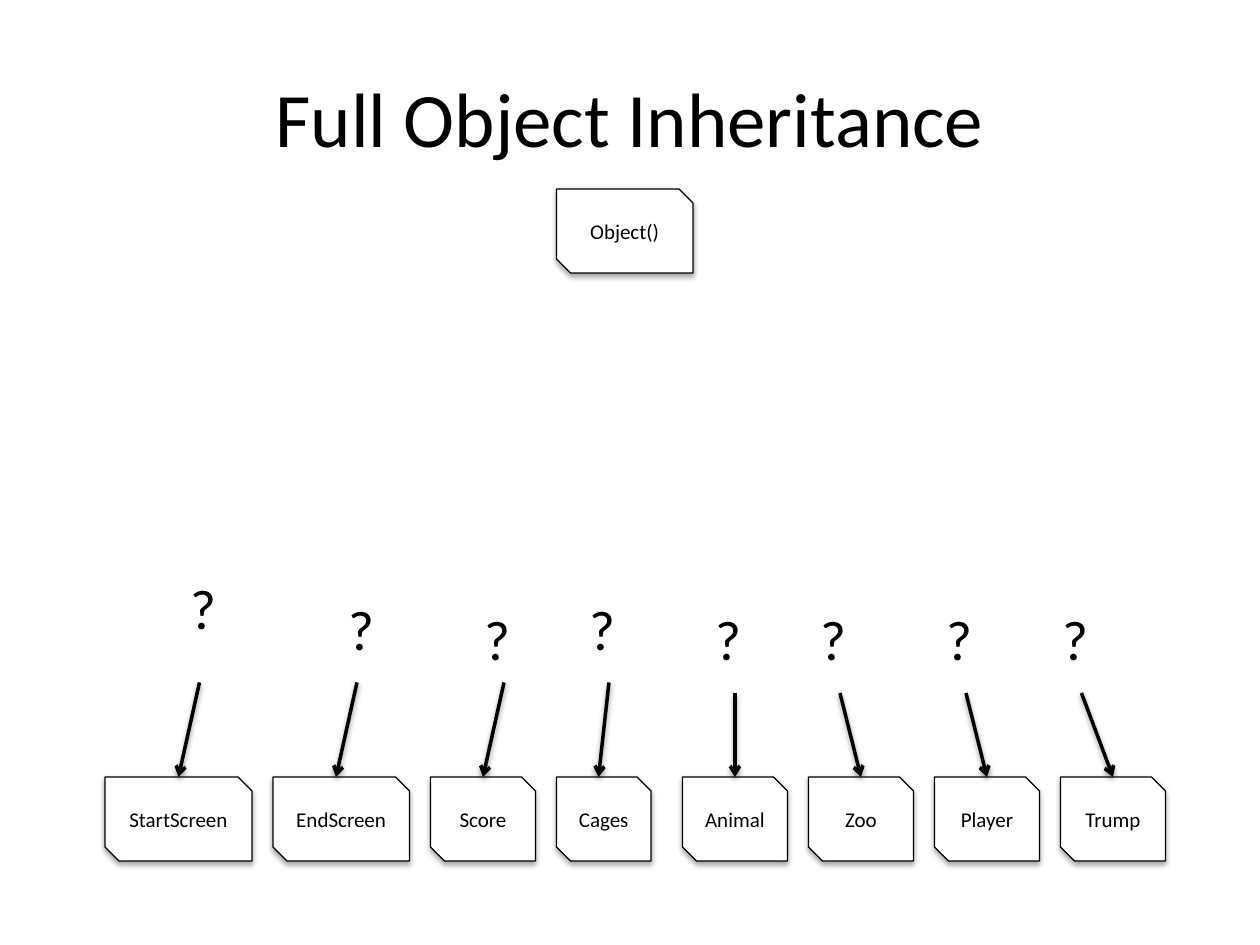
"""Build the object inheritance slide."""
import lxml.etree
import pptx
import pptx.dml.color
import pptx.enum.shapes
import pptx.enum.text
import pptx.oxml.ns
import pptx.util

Pt = pptx.util.Pt
QN = pptx.oxml.ns.qn
ALIGN = pptx.enum.text.PP_ALIGN
MID = pptx.enum.text.MSO_ANCHOR.MIDDLE
FIT = pptx.enum.text.MSO_AUTO_SIZE
KIND = pptx.enum.shapes.MSO_SHAPE
LINK = pptx.enum.shapes.MSO_CONNECTOR
BLACK = pptx.dml.color.RGBColor(0, 0, 0)
WHITE = pptx.dml.color.RGBColor(255, 255, 255)

TOP, HIGH = 444, 48
ITEMS = [
    ("StartScreen", 60, 84, (114, 390), (102, 324)),
    ("EndScreen", 156, 78, (204, 390), (192, 336)),
    ("Score", 246, 60, (288, 390), (270, 342)),
    ("Cages", 318, 54, (348, 390), (330, 336)),
    ("Animal", 390, 60, (420, 396), (402, 342)),
    ("Zoo", 462, 60, (480, 396), (462, 342)),
    ("Player", 534, 60, (552, 396), (534, 342)),
    ("Trump", 606, 60, (618, 396), (600, 342)),
]


def apply(item, form):
    for key, value in form.items():
        setattr(item, key, value)


class Deck:
    font = {"name": "Calibri"}

    def __init__(self):
        self.show = pptx.Presentation()
        apply(self.show, {"slide_width": Pt(720), "slide_height": Pt(540)})
        self.slide = self.show.slides.add_slide(self.show.slide_layouts[5])
        self.shapes = self.slide.shapes

    def label(self, shape, text, size, align, form):
        frame = shape.text_frame
        apply(frame, form)
        para = frame.paragraphs[0]
        para.alignment = align
        run = para.add_run()
        run.text = text
        apply(run.font, {**self.font, "size": Pt(size)})
        run.font.color.rgb = BLACK

    def stroke(self, line, width):
        line.width = Pt(width)
        line.fill.solid()
        line.fill.fore_color.rgb = BLACK

    def shade(self, effect, dist, alpha):
        add = lxml.etree.SubElement
        shadow = add(effect, QN("a:outerShdw"), blurRad="40000", dist=str(dist),
                     dir="5400000", rotWithShape="0")
        color = add(shadow, QN("a:srgbClr"), val=str(BLACK))
        add(color, QN("a:alpha"), val=str(alpha * 1000))

    def title(self, text):
        shape = self.shapes.title
        apply(shape, {"left": Pt(36), "top": Pt(21.6), "width": Pt(648), "height": Pt(90)})
        self.label(shape, text, 44, ALIGN.CENTER, {"vertical_anchor": MID})

    def box(self, text, left, top, width):
        shape = self.shapes.add_shape(KIND.SNIP_2_DIAG_RECTANGLE,
                                      Pt(left), Pt(top), Pt(width), Pt(HIGH))
        shape.fill.solid()
        shape.fill.fore_color.rgb = WHITE
        self.stroke(shape.line, 0.75)
        shape.shadow.inherit = False
        self.shade(shape._element.spPr.find(QN("a:effectLst")), 23000, 35)
        self.label(shape, text, 12, ALIGN.CENTER,
                   {"vertical_anchor": MID, "word_wrap": True})

    def arrow(self, start, end):
        line = self.shapes.add_connector(LINK.STRAIGHT, *map(Pt, start + end))
        self.stroke(line.line, 2)
        props = line._element.spPr
        lxml.etree.SubElement(props.find(QN("a:ln")), QN("a:tailEnd"), type="arrow")
        self.shade(lxml.etree.SubElement(props, QN("a:effectLst")), 20000, 38)

    def mark(self, left, top):
        shape = self.shapes.add_textbox(Pt(left), Pt(top), Pt(29.5), Pt(46))
        self.label(shape, "?", 32, ALIGN.LEFT,
                   {"word_wrap": False, "auto_size": FIT.SHAPE_TO_FIT_TEXT})


def main():
    deck = Deck()
    deck.title("Full Object Inheritance")
    deck.box("Object()", 318, 108, 78)
    for name, left, width, start, spot in ITEMS:
        deck.box(name, left, TOP, width)
        deck.arrow(start, (left + width // 12 * 6, TOP))
        deck.mark(*spot)
    deck.show.save("out.pptx")


if __name__ == "__main__":
    main()
